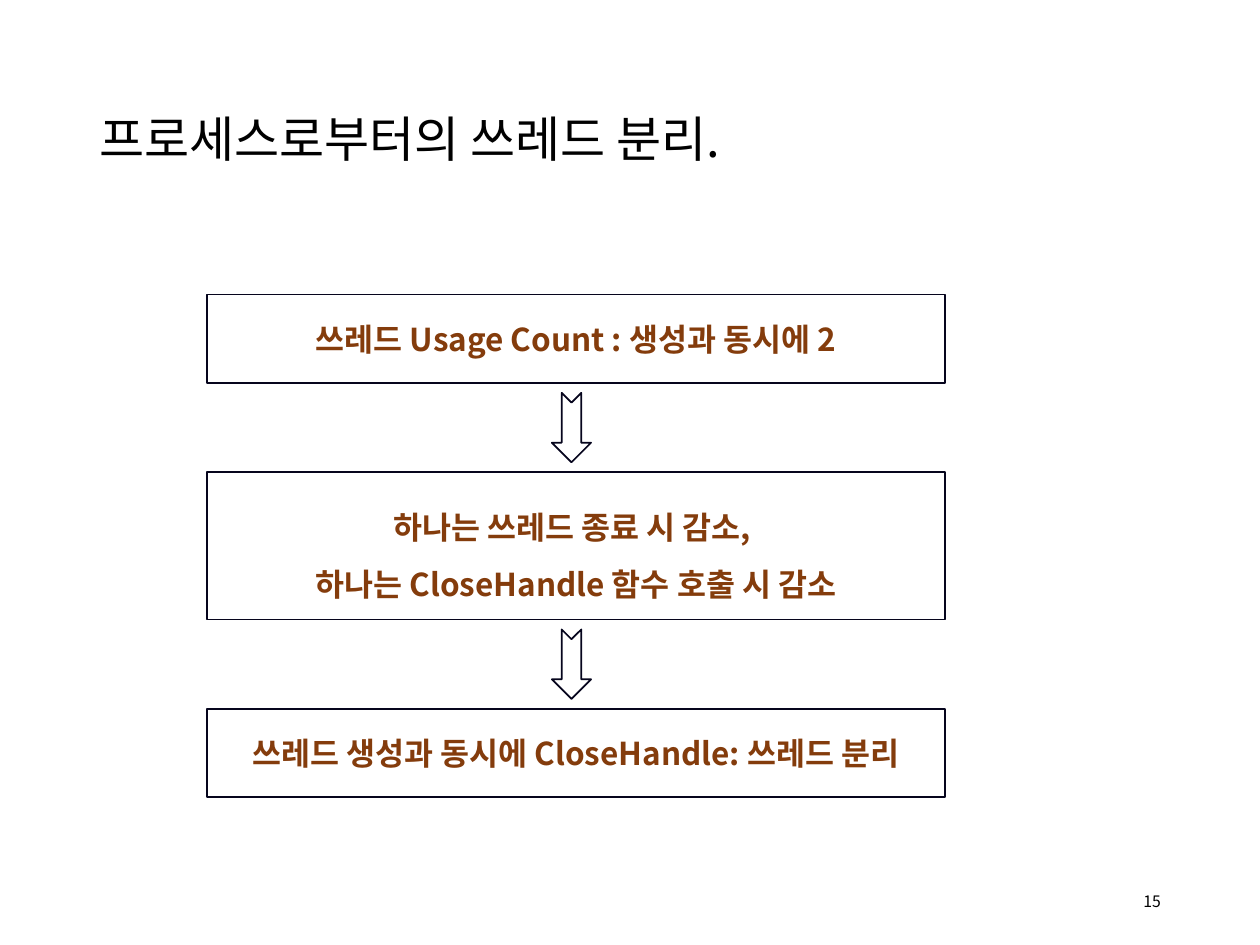
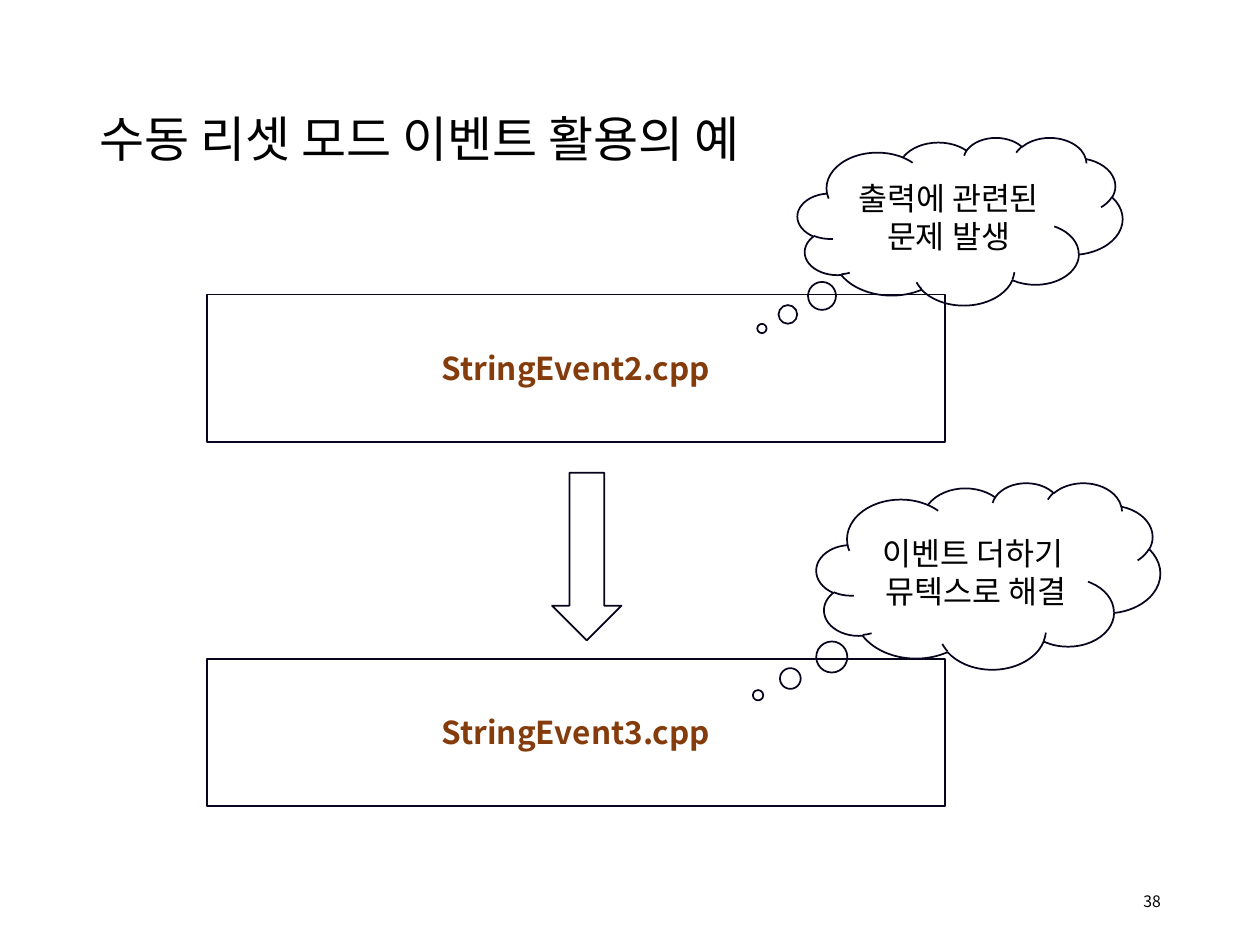
from lxml.etree import SubElement
from pptx import Presentation
from pptx.dml.color import RGBColor
from pptx.enum.shapes import MSO_SHAPE
from pptx.enum.text import MSO_ANCHOR, PP_ALIGN
from pptx.oxml.ns import qn
from pptx.util import Cm, Pt

FONT = "Noto Sans CJK KR"
COLORS = {"text": "000000", "accent": "843C0C", "line": "06051D"}

# Shared geometry in centimetres
BOX_LEFT, BOX_WIDTH, FIRST_TOP = 4.17, 14.88, 5.94
LOW_BOX, HIGH_BOX = 1.78, 2.97


def set_text(shape, text, size, color="text", bold=False,
             align=PP_ALIGN.CENTER, spacing=None):
    frame = shape.text_frame
    frame.word_wrap = True
    frame.vertical_anchor = MSO_ANCHOR.MIDDLE
    frame.text = text
    for paragraph in frame.paragraphs:
        paragraph.alignment = align
        paragraph.line_spacing = spacing
        for run in paragraph.runs:
            run.font.name = FONT
            run.font.size = Pt(size)
            run.font.bold = bold
            run.font.color.rgb = RGBColor.from_string(COLORS[color])
            east_asian = SubElement(run.font._element, qn("a:ea"))
            east_asian.set("typeface", FONT)


def add_outline(slide, kind, left, top, width, height, adjustments=()):
    """Add an unfilled shape with the common thin outline."""
    shape = slide.shapes.add_shape(kind, Cm(left), Cm(top), Cm(width), Cm(height))
    for index, value in enumerate(adjustments):
        shape.adjustments[index] = value
    shape.shadow.inherit = False
    shape.fill.background()
    shape.line.color.rgb = RGBColor.from_string(COLORS["line"])
    shape.line.width = Pt(1)
    return shape


def add_base_slide(presentation, title, number):
    slide = presentation.slides.add_slide(presentation.slide_layouts[6])
    # Title
    title_box = slide.shapes.add_textbox(Cm(1.75), Cm(1.02), Cm(21.92), Cm(3.68))
    set_text(title_box, title, 28, align=PP_ALIGN.LEFT, spacing=0.9)
    # Slide number
    number_box = slide.shapes.add_textbox(Cm(17.93), Cm(17.65), Cm(5.72), Cm(1.02))
    set_text(number_box, number, 9, align=PP_ALIGN.RIGHT)
    return slide


def add_box(slide, top, height, text, spacing=None):
    box = add_outline(slide, MSO_SHAPE.RECTANGLE, BOX_LEFT, top, BOX_WIDTH, height)
    set_text(box, text, 18, "accent", bold=True, spacing=spacing)


def add_notched_arrow(slide, center_x, center_y, length=1.4, thickness=0.79):
    """Add a notched arrow pointing down, centred on the given point."""
    arrow = add_outline(slide, MSO_SHAPE.NOTCHED_RIGHT_ARROW,
                        center_x - length / 2, center_y - thickness / 2,
                        length, thickness, (0.5, 0.5))
    arrow.rotation = 90


def add_thought(slide, left, top, width, height, tail, text):
    cloud = add_outline(slide, MSO_SHAPE.CLOUD_CALLOUT, left, top, width, height, tail)
    set_text(cloud, text, 18)


def build_detach_slide(presentation):
    slide = add_base_slide(presentation, "프로세스로부터의 쓰레드 분리.", "15")
    steps = [
        (LOW_BOX, "쓰레드 Usage Count : 생성과 동시에 2", None),
        (HIGH_BOX, "하나는 쓰레드 종료 시 감소, \n하나는 CloseHandle 함수 호출 시 감소", 1.5),
        (LOW_BOX, "쓰레드 생성과 동시에 CloseHandle: 쓰레드 분리", None),
    ]
    gap, top = 1.8, FIRST_TOP
    for index, (height, text, spacing) in enumerate(steps):
        if index:
            add_notched_arrow(slide, 11.52, top - gap / 2)
        add_box(slide, top, height, text, spacing)
        top += height + gap


def build_event_slide(presentation):
    slide = add_base_slide(presentation, "수동 리셋 모드 이벤트 활용의 예", "38")
    # Source files and the step between them
    for index, name in enumerate(["StringEvent2.cpp", "StringEvent3.cpp"]):
        add_box(slide, FIRST_TOP + index * 7.34, HIGH_BOX, name)
    add_outline(slide, MSO_SHAPE.DOWN_ARROW, 11.13, 9.53, 1.4, 3.38, (0.5, 0.5))
    # Remarks
    add_thought(slide, 16.08, 2.77, 6.55, 3.38, (-0.61, 0.64), "출력에 관련된 문제 발생")
    add_thought(slide, 16.46, 9.73, 6.93, 3.76, (-0.67, 0.64), "이벤트 더하기 \n뮤텍스로 해결")


def main():
    presentation = Presentation()
    presentation.slide_width, presentation.slide_height = Cm(25.4), Cm(19.05)
    build_detach_slide(presentation)
    build_event_slide(presentation)
    presentation.save("out.pptx")


if __name__ == "__main__":
    main()
